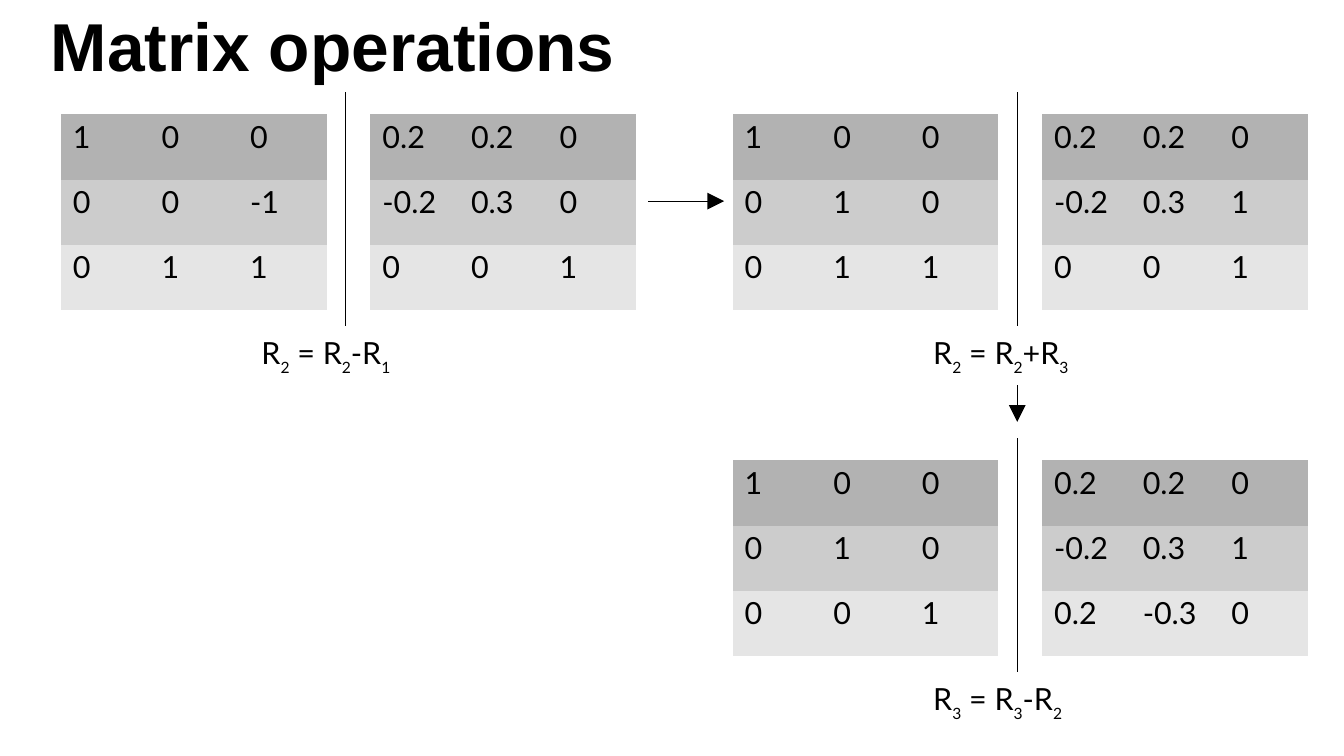
from lxml import etree
from pptx import Presentation
from pptx.dml import color
from pptx.enum import shapes, text
from pptx.oxml import ns
from pptx.util import Cm, Pt

BLACK = "000000"
SHADES = ["B2B2B2", "CCCCCC", "E5E5E5"]
PLAIN = "{2D5ABB26-0587-4C30-8999-92F81FD0307C}"  # table style without borders
BODY = {"name": "Lato", "size": Pt(18), "bold": False}
HEAD = {"name": "Arial", "size": Pt(40), "bold": True}
SUB = {"name": "Lato", "size": Pt(15.8), "bold": False}
FRAME = {"margin_left": 0, "margin_right": 0, "margin_top": Cm(0.03),
         "margin_bottom": 0, "word_wrap": True,
         "auto_size": text.MSO_AUTO_SIZE.NONE,
         "vertical_anchor": text.MSO_ANCHOR.TOP}
CELL = {"margin_left": Cm(0.25), "margin_right": 0,
        "margin_top": Cm(0.08), "margin_bottom": 0}
STEPS = [
    (1.27, 2.38, ["1 0 0", "0 0 -1", "0 1 1"],
     ["0.2 0.2 0", "-0.2 0.3 0", "0 0 1"],
     ["R", "2", " = R", "2", "-R", "1"]),
    (15.27, 2.38, ["1 0 0", "0 1 0", "0 1 1"],
     ["0.2 0.2 0", "-0.2 0.3 1", "0 0 1"],
     ["R", "2", " = R", "2", "+R", "3"]),
    (15.27, 9.59, ["1 0 0", "0 1 0", "0 0 1"],
     ["0.2 0.2 0", "-0.2 0.3 1", "0.2 -0.3 0"],
     ["R", "3", " = R", "3", "-R", "2"]),
]


def rgb(code):
    return color.RGBColor.from_string(code)


def put(item, fmt):
    """Set each attribute named in fmt."""
    for key, val in fmt.items():
        setattr(item, key, val)


def write(par, words, fmt):
    run = par.add_run()
    run.text = words
    put(run.font, fmt)
    run.font.color.rgb = rgb(BLACK)
    return run


def title(slide, words):
    box = slide.shapes.title
    put(box, {"left": Cm(1.06), "top": Cm(0.05),
              "width": Cm(11.81), "height": Cm(1.75)})
    put(box.text_frame, FRAME)
    par = box.text_frame.paragraphs[0]
    par.alignment = text.PP_ALIGN.LEFT
    write(par, words, HEAD)


def matrix(slide, x, y, rows):
    grid = slide.shapes.add_table(3, 3, Cm(x), Cm(y), Cm(5.54), Cm(4.08)).table
    put(grid, {"first_row": False, "horz_banding": False})
    grid._tbl.tblPr[0].text = PLAIN
    for r, (row, shade) in enumerate(zip(rows, SHADES)):
        for c, num in enumerate(row.split()):
            cell = grid.cell(r, c)
            put(cell, CELL)
            cell.fill.solid()
            cell.fill.fore_color.rgb = rgb(shade)
            write(cell.text_frame.paragraphs[0], num, BODY)


def line(slide, x, y, to_x, to_y, arrow=False):
    rule = slide.shapes.add_connector(
        shapes.MSO_CONNECTOR.STRAIGHT, Cm(x), Cm(y), Cm(to_x), Cm(to_y))
    rule.line.width = Pt(0.25)
    rule.line.color.rgb = rgb(BLACK)
    props = rule._element.spPr
    if arrow:
        etree.SubElement(props.find(ns.qn("a:ln")), ns.qn("a:tailEnd"),
                         type="triangle", w="lg", len="lg")
    etree.SubElement(props, ns.qn("a:effectLst"))


def label(slide, x, y, parts):
    """Write parts in turn as plain text and subscript."""
    box = slide.shapes.add_textbox(Cm(x), Cm(y), Cm(3.3), Cm(0.84))
    put(box.text_frame, FRAME)
    box.text_frame.margin_left = Cm(0.12)
    par = box.text_frame.paragraphs[0]
    for n, part in enumerate(parts):
        low = n % 2
        run = write(par, part, SUB if low else BODY)
        if low:
            run._r.get_or_add_rPr().set("baseline", "-32000")


def step(slide, x, y, left, right, parts):
    """Draw an augmented matrix with its row operation."""
    matrix(slide, x, y, left)
    matrix(slide, x + 6.45, y, right)
    line(slide, x + 5.93, y - 0.46, x + 5.93, y + 4.42)
    label(slide, x + 4.06, y + 4.55, parts)


def main():
    deck = Presentation()
    deck.slide_width = Cm(28.01)
    deck.slide_height = Cm(15.75)
    slide = deck.slides.add_slide(deck.slide_layouts[5])
    title(slide, "Matrix operations")
    for part in STEPS:
        step(slide, *part)
    line(slide, 13.51, 4.19, 15.09, 4.19, arrow=True)
    line(slide, 21.2, 8.03, 21.2, 8.79, arrow=True)
    deck.save("out.pptx")


if __name__ == "__main__":
    main()
